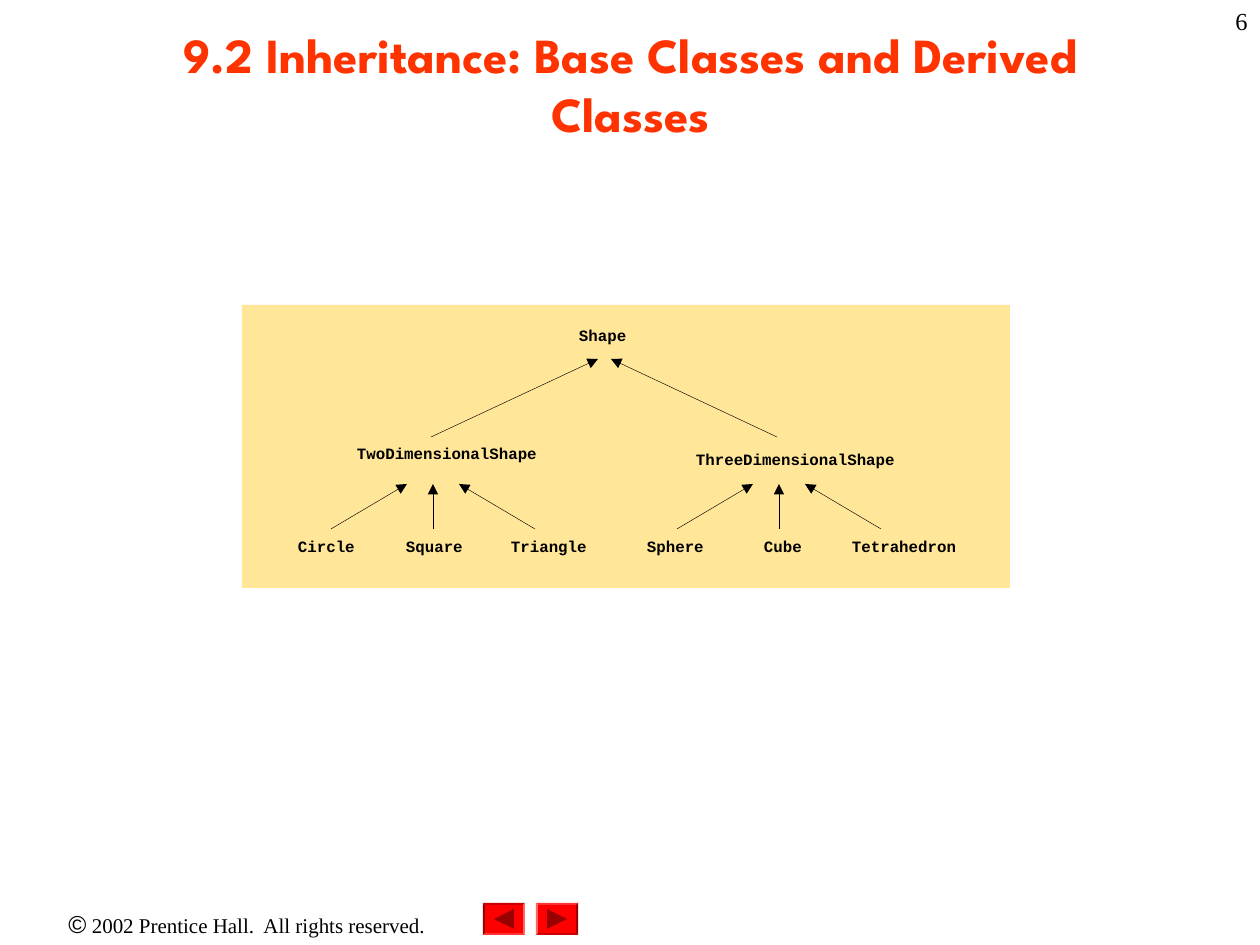
import pptx
import pptx.dml.color
import pptx.enum.shapes
import pptx.enum.text
import pptx.oxml.ns
import pptx.util
from lxml import etree

RGB = pptx.dml.color.RGBColor
BLACK = RGB(0x00, 0x00, 0x00)
ORANGE = RGB(0xFF, 0x33, 0x00)
SAND = RGB(0xFF, 0xE6, 0x99)
RED = RGB(0xFF, 0x00, 0x00)
MAROON = RGB(0x99, 0x00, 0x00)
KIND = pptx.enum.shapes.MSO_SHAPE
ALIGN = pptx.enum.text.PP_ALIGN
SCALE = 914400 / 126


def px(num):
    """Turn a length in px into EMU."""
    return pptx.util.Emu(round(num * SCALE))


def add_run(para, text, size, face, color=BLACK, bold=False):
    """Append one formatted run to a paragraph."""
    run = para.add_run()
    run.text = text
    font = run.font
    font.size = pptx.util.Pt(size)
    font.name = face
    font.bold = bold
    font.color.rgb = color


def add_box(slide, left, top, width, height, align):
    """Add a wrapped text box and return its frame and first paragraph."""
    frame = slide.shapes.add_textbox(px(left), px(top), px(width), px(height)).text_frame
    frame.word_wrap = True
    para = frame.paragraphs[0]
    para.alignment = align
    return frame, para


def add_label(slide, text, left, top, width, height=31, inset=47):
    """Add a class name, inset from the left edge of its box."""
    frame, para = add_box(slide, left, top, width, height, ALIGN.LEFT)
    frame.margin_left = px(inset)
    frame.margin_right = frame.margin_top = frame.margin_bottom = 0
    para.line_spacing = 0.88
    add_run(para, text, 9, "Courier New", bold=True)


def add_shape(slide, kind, left, top, width, height, color, turn=0):
    """Add a filled shape without outline or shadow."""
    shape = slide.shapes.add_shape(kind, px(left), px(top), px(width), px(height))
    shape.shadow.inherit = False
    shape.fill.solid()
    shape.fill.fore_color.rgb = color
    shape.line.fill.background()
    shape.rotation = turn
    return shape


def add_arrow(slide, start, end):
    """Add a thin arrow that points from a derived class to its base."""
    arrow = slide.shapes.add_connector(
        pptx.enum.shapes.MSO_CONNECTOR.STRAIGHT,
        px(start[0]), px(start[1]), px(end[0]), px(end[1]))
    arrow.line.color.rgb = BLACK
    arrow.line.width = pptx.util.Pt(0.25)
    qn = pptx.oxml.ns.qn
    etree.SubElement(arrow.line._get_or_add_ln(), qn("a:tailEnd"), type="triangle")
    etree.SubElement(arrow._element.spPr, qn("a:effectLst"))


def add_button(slide, left, turn, point):
    """Add a bevelled button with a triangle that shows its direction."""
    bevel = add_shape(slide, KIND.BEVEL, left, 903, 42, 32, RED, turn)
    bevel.adjustments[0] = 0.06
    add_shape(slide, KIND.ISOSCELES_TRIANGLE, left + 11, 909, 20, 20, MAROON, point)


def add_title(slide, text):
    """Place and fill the title."""
    title = slide.shapes.title
    title.left, title.top, title.width, title.height = px(95), px(10), px(1071), px(147)
    frame = title.text_frame
    frame.auto_size = pptx.enum.text.MSO_AUTO_SIZE.NONE
    frame.vertical_anchor = pptx.enum.text.MSO_ANCHOR.MIDDLE
    para = frame.paragraphs[0]
    para.alignment = ALIGN.CENTER
    add_run(para, text, 28, "League Spartan", ORANGE, True)


def add_tree(slide):
    """Draw the class hierarchy on its panel."""
    add_shape(slide, KIND.RECTANGLE, 242, 305, 768, 283, SAND)
    add_label(slide, "Shape", 532, 328, 173)
    add_label(slide, "TwoDimensionalShape", 291, 446, 323, inset=66)
    add_label(slide, "ThreeDimensionalShape", 649, 452, 331, 26)
    leaves = [("Circle", 251, 130, 47), ("Square", 359, 117, 47),
              ("Triangle", 454, 154, 57), ("Sphere", 600, 117, 47),
              ("Cube", 717, 147, 47), ("Tetrahedron", 805, 224, 47)]
    for text, left, width, inset in leaves:
        add_label(slide, text, left, 539, width, inset=inset)
    add_arrow(slide, (431, 437), (598, 359))
    add_arrow(slide, (777, 437), (611, 359))
    for mid in (433, 779):
        for side in (-1, 1, 0):
            add_arrow(slide, (mid + 102 * side, 529), (mid + 26 * side, 484))


def main():
    """Build the slide and save it."""
    deck = pptx.Presentation()
    deck.slide_width, deck.slide_height = px(1260), px(945)
    slide = deck.slides.add_slide(deck.slide_layouts[5])
    _, foot = add_box(slide, 0, 903, 494, 42, ALIGN.CENTER)
    add_run(foot, "©", 14, "Arial")
    add_run(foot, " 2002 Prentice Hall.  All rights reserved.", 12, "Times New Roman")
    add_button(slide, 536, 0, 90)
    add_button(slide, 483, 180, 270)
    add_title(slide, "9.2 Inheritance: Base Classes and Derived Classes")
    add_tree(slide)
    _, page = add_box(slide, 998, 0, 262, 63, ALIGN.RIGHT)
    add_run(page, "6", 14, "Times New Roman")
    deck.save("out.pptx")


if __name__ == "__main__":
    main()
